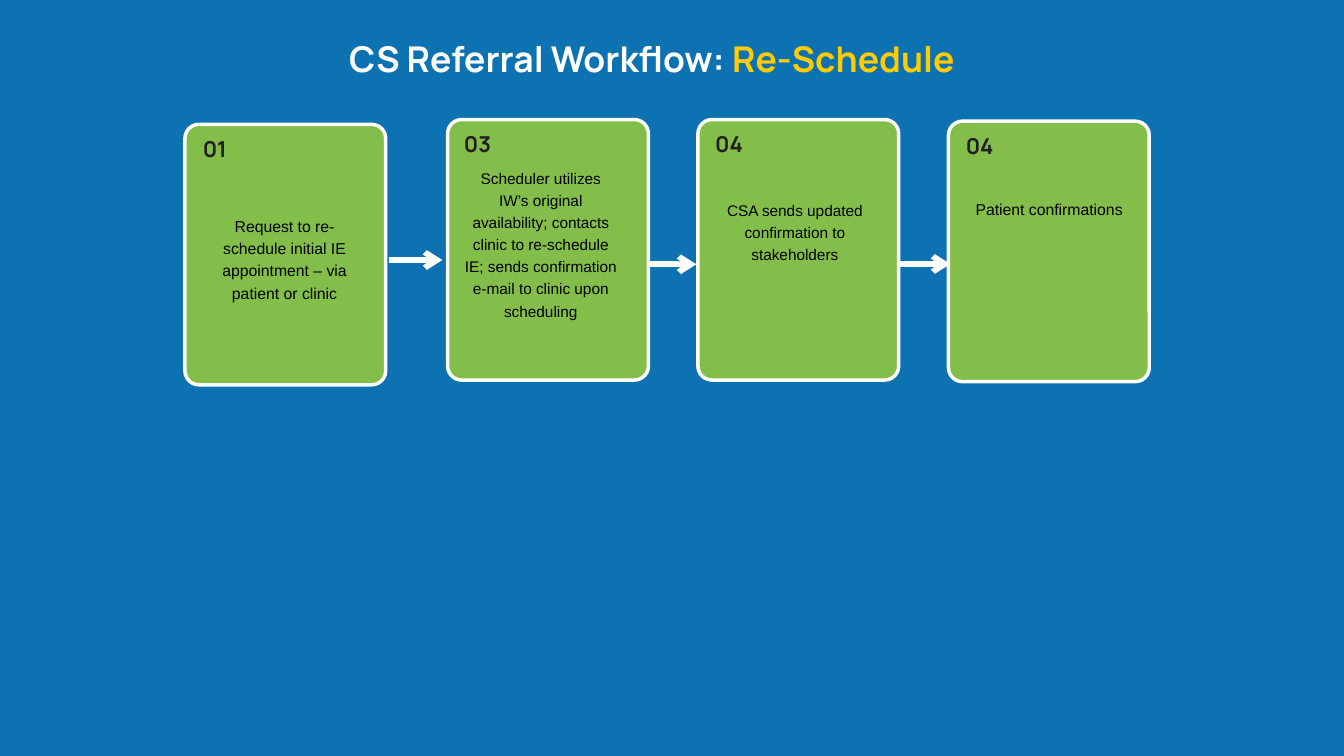
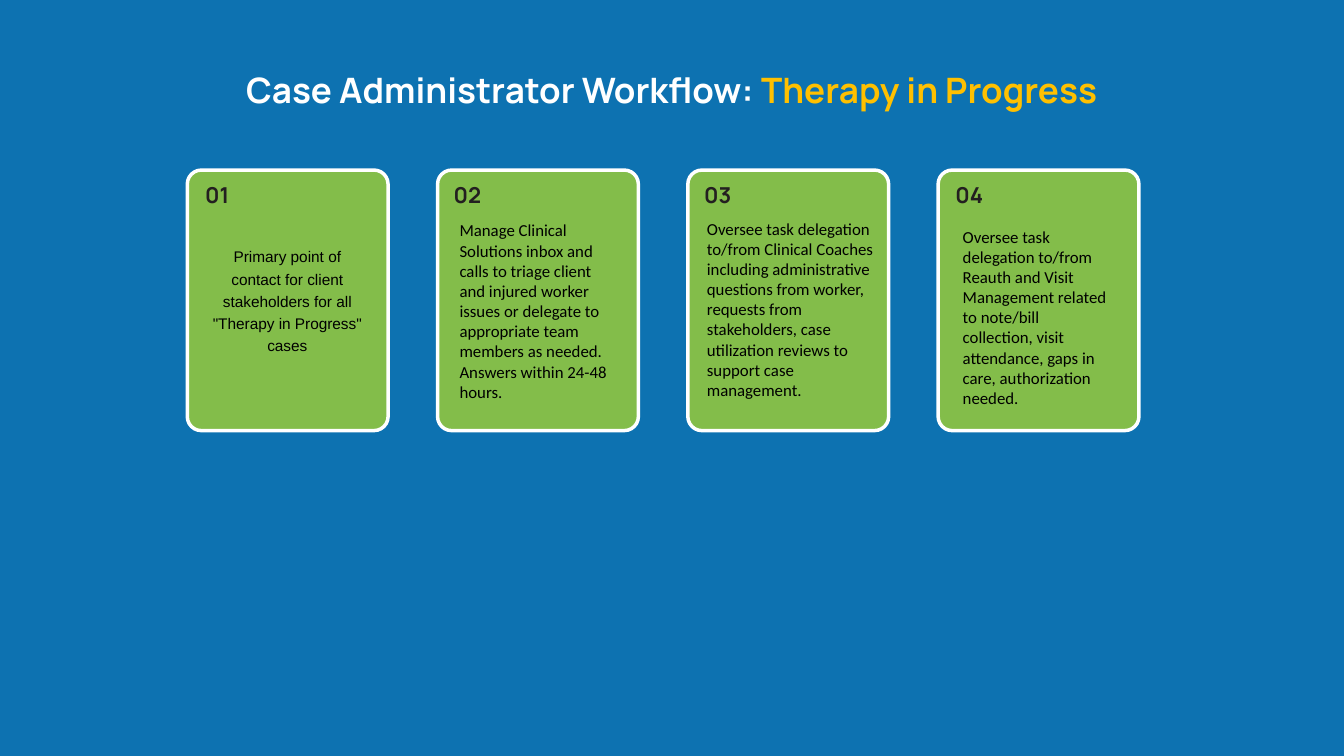
from lxml.etree import SubElement
from pptx import Presentation
from pptx.dml.color import RGBColor
from pptx.enum.shapes import MSO_CONNECTOR as Link, MSO_SHAPE as Kind
from pptx.enum.text import MSO_ANCHOR as Anchor, MSO_AUTO_SIZE as Fit, PP_ALIGN as Align
from pptx.oxml.ns import qn
from pptx.util import Cm, Pt

BLUE = RGBColor(0x0D, 0x72, 0xB1)
GREEN = RGBColor(0x83, 0xBD, 0x4A)
WHITE = RGBColor(0xFF, 0xFF, 0xFF)
BLACK = RGBColor(0x00, 0x00, 0x00)
INK = RGBColor(0x23, 0x1F, 0x20)
YELLOW = RGBColor(0xFF, 0xCB, 0x02)
AMBER = RGBColor(0xFF, 0xC0, 0x00)

HEAD = "Manrope"
CARD_W, CARD_H = 7.59, 9.85
STEP = 9.46


class Deck:
    def __init__(self):
        self.show = Presentation()
        self.show.slide_width = Cm(50.8)
        self.show.slide_height = Cm(28.58)
        fill = self.show.slide_master.background.fill
        fill.solid()
        fill.fore_color.rgb = BLUE
        self.slide = None

    def page(self):
        self.slide = self.show.slides.add_slide(self.show.slide_layouts[5])

    def place(self, shape, box):
        shape.left, shape.top, shape.width, shape.height = map(Cm, box)

    def letter(self, frame, runs, size, face, bold=False, lead=None,
               align=Align.CENTER, flush=True):
        frame.word_wrap = True
        frame.auto_size = Fit.NONE
        frame.vertical_anchor = Anchor.TOP
        if flush:
            frame.margin_left = frame.margin_right = 0
            frame.margin_top = frame.margin_bottom = 0
        para = frame.paragraphs[0]
        para.alignment = align
        if lead:
            para.line_spacing = Pt(lead)
        for words, tint in runs:
            run = para.add_run()
            run.text = words
            font = run.font
            font.name, font.size, font.bold = face, Pt(size), bold
            font.color.rgb = tint

    def title(self, box, lead, topic, tint, size):
        head = self.slide.shapes.title
        self.place(head, box)
        self.letter(head.text_frame, [(lead, WHITE), (topic, tint)],
                    size, HEAD, True, 53.2)

    def text(self, box, runs, size, face, **look):
        shape = self.slide.shapes.add_textbox(*map(Cm, box))
        self.letter(shape.text_frame, runs, size, face, **look)

    def card(self, left, top, label):
        box = self.slide.shapes.add_shape(
            Kind.ROUNDED_RECTANGLE, Cm(left), Cm(top), Cm(CARD_W), Cm(CARD_H))
        box.shadow.inherit = False
        box.adjustments[0] = 0.07
        box.fill.solid()
        box.fill.fore_color.rgb = GREEN
        box.line.color.rgb = WHITE
        box.line.width = Pt(3.75)
        wide = 1.42 if label == "04" else 1.32
        self.text((left + 0.47, top + 0.27, wide, 1.17), [(label, INK)],
                  23.5, HEAD, bold=True, lead=32.9)

    def note(self, box, words, size=16.5):
        self.text(box, [(words, BLACK)], size, "Arial", lead=23.7)

    def task(self, box, words):
        self.text(box, [(words, BLACK)], 18, "Calibri",
                  align=Align.LEFT, flush=False)

    def arrow(self, left, top):
        line = self.slide.shapes.add_connector(
            Link.STRAIGHT, Cm(left), Cm(top), Cm(left + 2.01), Cm(top))
        line.line.color.rgb = WHITE
        line.line.width = Pt(6)
        props = line.element.spPr
        SubElement(props.find(qn("a:ln")), qn("a:tailEnd"), type="arrow")
        SubElement(props, qn("a:effectLst"))


def referral(deck):
    deck.page()
    deck.title((8.28, 1.12, 32.72, 1.8), "CS Referral Workflow: ",
               "Re-Schedule", YELLOW, 38)
    deck.arrow(14.71, 9.83)
    deck.arrow(24.31, 9.99)
    for left, top, label in [(6.99, 4.7, "01"), (16.92, 4.52, "03"),
                             (26.38, 4.52, "04"), (35.85, 4.58, "04")]:
        deck.card(left, top, label)
    deck.arrow(33.91, 9.98)
    deck.note((7.85, 8.08, 5.82, 3.35),
              "Request to re-schedule initial IE appointment – via patient or clinic", 16.9)
    deck.note((17.53, 6.25, 5.82, 6.65),
              "Scheduler utilizes IW’s original availability; contacts clinic to "
              "re-schedule IE; sends confirmation e-mail to clinic upon scheduling")
    deck.note((27.15, 7.47, 5.79, 6.65),
              "CSA sends updated confirmation to stakeholders")
    deck.note((36.75, 7.44, 5.82, 0.79), "Patient confirmations", 16.9)


def therapy(deck):
    deck.page()
    deck.title((2.67, 2.29, 45.44, 1.78), "Case Administrator Workflow: ",
               "Therapy in Progress", AMBER, 37.5)
    for i in range(4):
        deck.card(7.08 + i * STEP, 6.43, f"{i + 1:02}")
    deck.note((7.95, 9.22, 5.82, 4.19),
              "Primary point of contact for client stakeholders for all "
              "\"Therapy in Progress\" cases")
    deck.task((17.12, 8.2, 6.35, 7.19),
              "Manage Clinical Solutions inbox and calls to triage client and injured "
              "worker issues or delegate to appropriate team members as needed. "
              "Answers within 24-48 hours.")
    deck.task((26.47, 8.13, 7.09, 7.19),
              "Oversee task delegation to/from Clinical Coaches including "
              "administrative questions from worker, requests from stakeholders, "
              "case utilization reviews to support case management.")
    deck.task((36.14, 8.43, 6.17, 7.19),
              "Oversee task delegation to/from Reauth and Visit Management related "
              "to note/bill collection, visit attendance, gaps in care, "
              "authorization needed.")


def main():
    deck = Deck()
    referral(deck)
    therapy(deck)
    deck.show.save("out.pptx")


if __name__ == "__main__":
    main()
